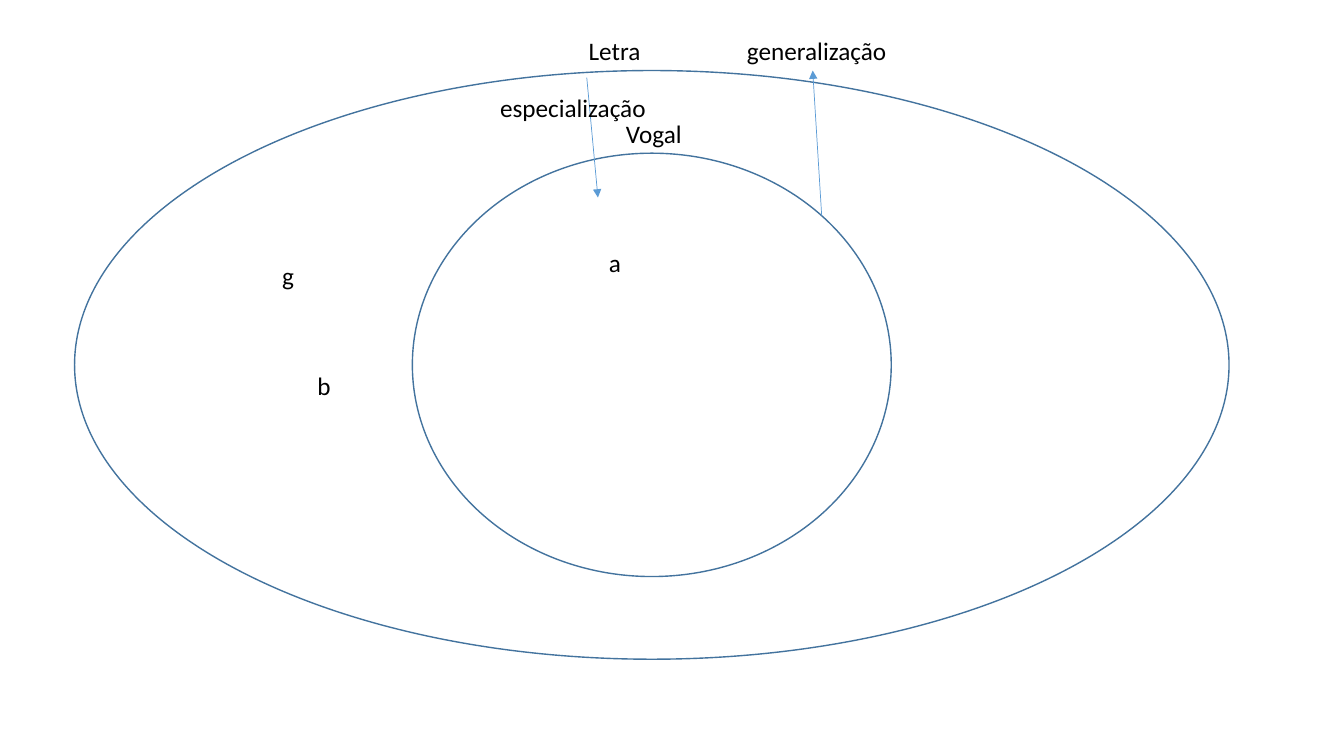
from lxml.etree import SubElement
from pptx import Presentation
from pptx.dml.color import RGBColor
from pptx.enum.shapes import MSO_CONNECTOR, MSO_SHAPE
from pptx.enum.text import MSO_AUTO_SIZE
from pptx.oxml.ns import qn
from pptx.util import Inches, Pt

WIDE, HIGH = Inches(13.33), Inches(7.5)
RING = RGBColor(0x43, 0x73, 0x9E)
ARROW = RGBColor(0x5B, 0x9B, 0xD5)
BLACK = RGBColor(0, 0, 0)

# All places and sizes are percentages of the slide's width and height.
CENTRE = (48.5, 48.27)
SETS = [(85.9, 77.87), (35.63, 56)]  # letters, vowels
LABELS = [  # text, middle, top, width
    ("Letra", 45.76, 4, 5.4),
    ("g", 21.46, 33.73, 2.4),
    ("b", 24.16, 48.27, 2.55),
    ("Vogal", 48.69, 14.93, 5.7),
    ("a", 45.76, 32, 2.4),
    ("generalização", 60.84, 4, 12),
    ("especialização", 42.69, 11.6, 12.45),
]
LINKS = [  # start, end
    ((61.14, 28.53), (60.47, 9.33)),
    ((43.66, 10.27), (44.49, 26.13)),
]
FONT = {"name": "Calibri", "size": Pt(18)}
FRAME = {"word_wrap": False, "auto_size": MSO_AUTO_SIZE.SHAPE_TO_FIT_TEXT}


def spot(x, y):
    """Turn percentages into slide lengths."""
    return round(WIDE * x / 100), round(HIGH * y / 100)


def style(item, values):
    for name, value in values.items():
        setattr(item, name, value)


def draw_line(line, color, width):
    line.color.rgb = color
    line.width = Pt(width)


def add_ring(slide, width, height):
    left, top = CENTRE[0] - width / 2, CENTRE[1] - height / 2
    ring = slide.shapes.add_shape(
        MSO_SHAPE.OVAL, *spot(left, top), *spot(width, height))
    ring.shadow.inherit = False
    ring.fill.background()
    draw_line(ring.line, RING, 1)


def add_label(slide, text, middle, top, width):
    box = slide.shapes.add_textbox(
        *spot(middle - width / 2, top), *spot(width, 5.33))
    style(box.text_frame, FRAME)
    run = box.text_frame.paragraphs[0].add_run()
    run.text = text
    style(run.font, FONT)
    run.font.color.rgb = BLACK


def add_arrow(slide, start, end):
    arrow = slide.shapes.add_connector(
        MSO_CONNECTOR.STRAIGHT, *spot(*start), *spot(*end))
    draw_line(arrow.line, ARROW, 0.5)
    props = arrow.element.spPr
    SubElement(props.find(qn("a:ln")), qn("a:tailEnd"), type="triangle")
    SubElement(props, qn("a:effectLst"))


def main():
    deck = Presentation()
    style(deck, {"slide_width": WIDE, "slide_height": HIGH})
    slide = deck.slides.add_slide(deck.slide_layouts[6])

    # Nested sets
    for size in SETS:
        add_ring(slide, *size)

    # Arrows between the sets
    for link in LINKS:
        add_arrow(slide, *link)

    # Names of sets, members and relations
    for label in LABELS:
        add_label(slide, *label)

    deck.save("out.pptx")


main()
